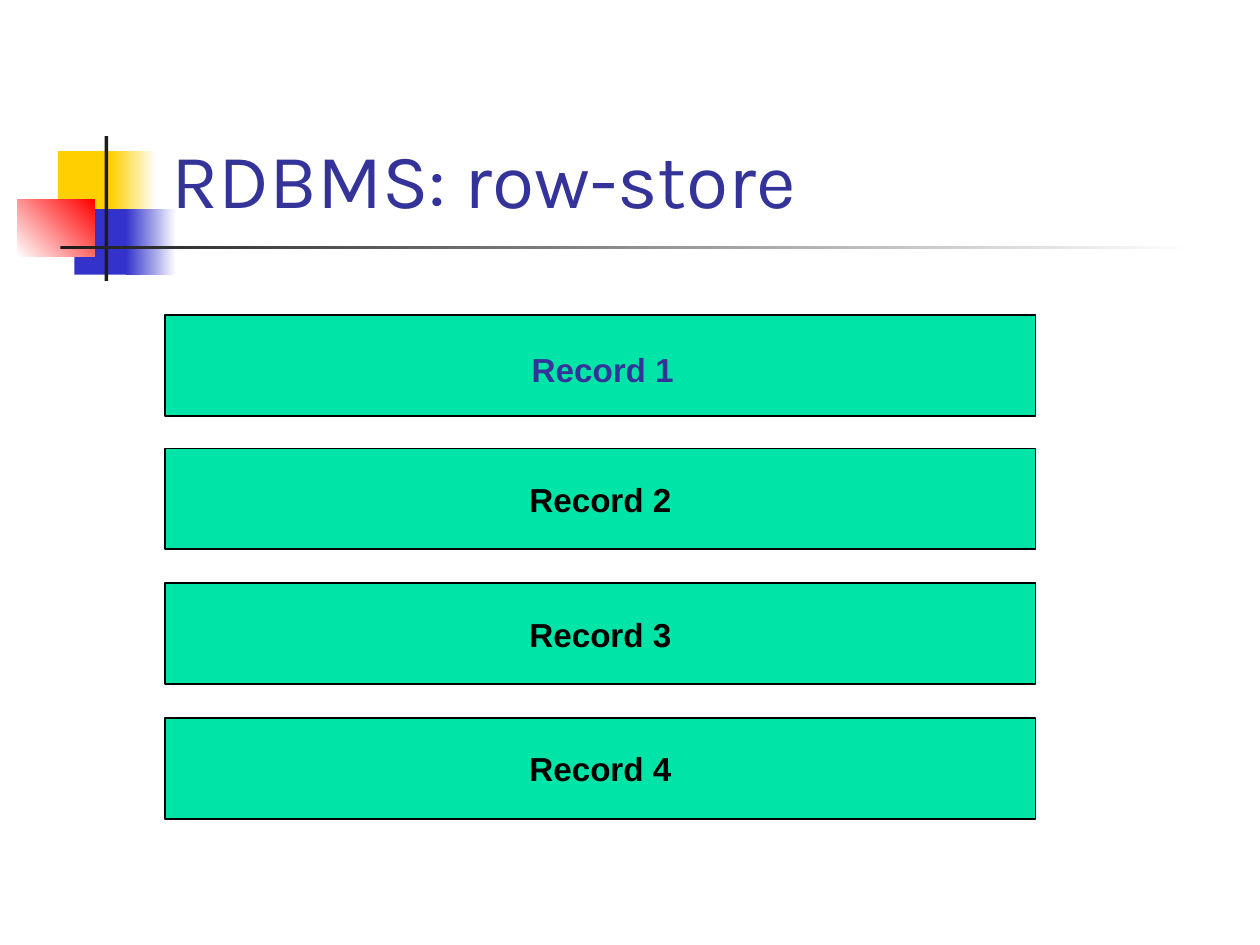
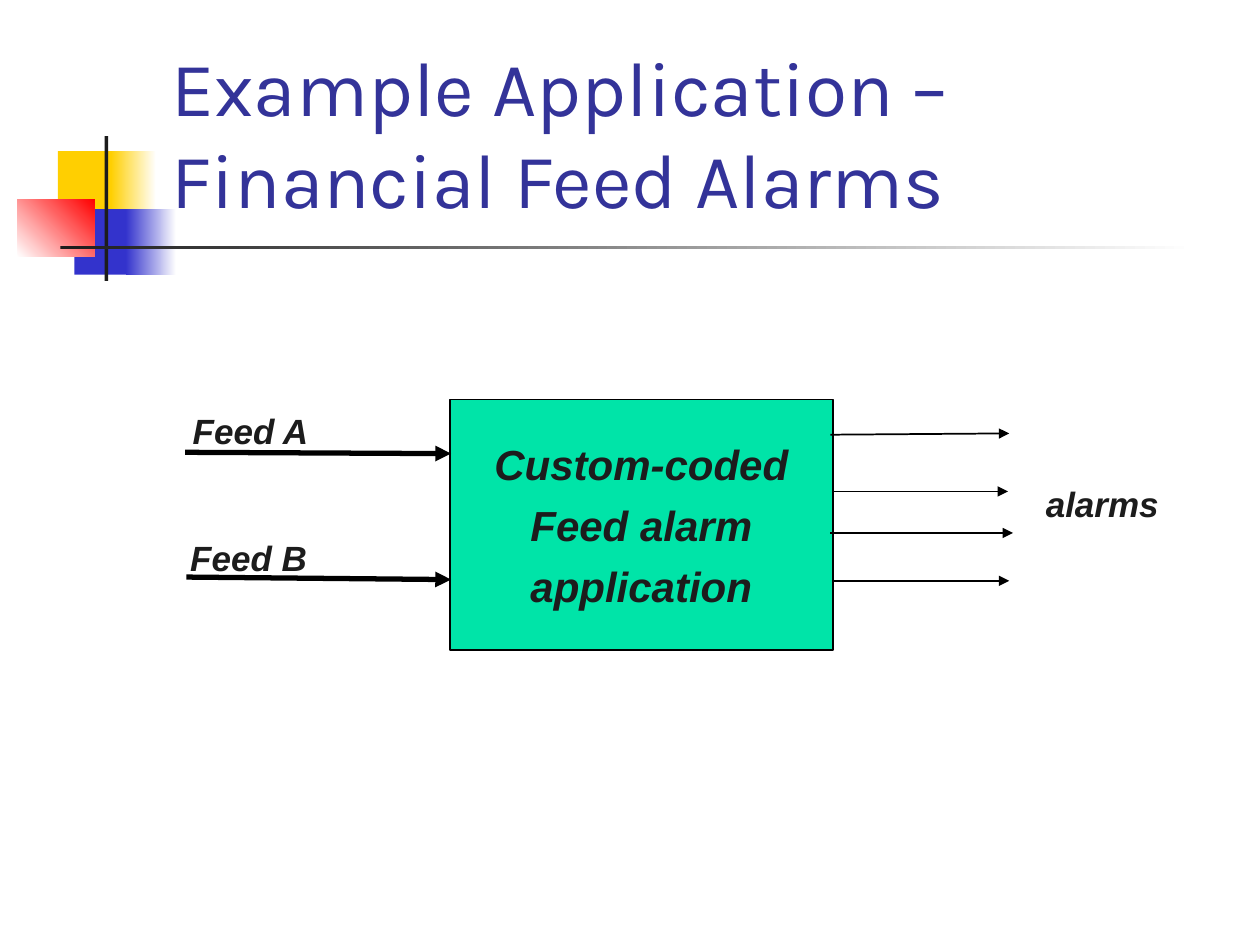
from lxml.etree import SubElement
from pptx import Presentation
from pptx.dml.color import RGBColor
from pptx.enum.shapes import MSO_CONNECTOR, MSO_SHAPE
from pptx.enum.text import MSO_ANCHOR, MSO_AUTO_SIZE, PP_ALIGN
from pptx.oxml.ns import qn
from pptx.util import Pt

PX = 9144  # 100 px to the inch
WHITE, BLACK, INK = "FFFFFF", "000000", "1C1C1C"
YELLOW, BLUE, RED = "FFCF01", "3333CC", "FF0000"
NAVY, GREEN = "333399", "00E4A8"


def paint(fill, start, end=None, angle=0):
    """Fill with one colour, or with a gradient from start to end."""
    if end is None:
        fill.solid()
        fill.fore_color.rgb = RGBColor.from_string(start)
        return
    fill.gradient()
    fill.gradient_angle = angle
    for stop, colour in zip(fill.gradient_stops, (start, end)):
        stop.color.rgb = RGBColor.from_string(colour)


def write(shape, text, size=20, font="Arial", colour=INK, bold=True, italic=False,
          align=PP_ALIGN.LEFT, anchor=MSO_ANCHOR.TOP, after=5, inset=(0, 0)):
    frame = shape.text_frame
    frame.word_wrap = True
    frame.auto_size = MSO_AUTO_SIZE.NONE
    frame.vertical_anchor = anchor
    frame.margin_left = frame.margin_right = inset[0] * PX
    frame.margin_top = frame.margin_bottom = inset[1] * PX
    frame.text = text
    for paragraph in frame.paragraphs:
        paragraph.alignment = align
        paragraph.space_before = Pt(0)
        paragraph.space_after = Pt(after)
        paragraph.font.size = Pt(size)
        paragraph.font.name = font
        paragraph.font.bold = bold
        paragraph.font.italic = italic
        paint(paragraph.font.fill, colour)


deck = Presentation()
deck.slide_width, deck.slide_height = 1000 * PX, 750 * PX

# Shared title style and corner ornament: left, top, width, height, fill
ornament = [
    (46, 120, 48, 52, (YELLOW,)),
    (88, 120, 36, 52, (YELLOW, WHITE)),
    (59, 166, 46, 52, (BLUE,)),
    (100, 166, 40, 52, (BLUE, WHITE)),
    (14, 158, 61, 46, (WHITE, RED, 45)),
    (83, 108, 3, 115, (INK,)),
    (48, 195, 900, 3, (INK, WHITE)),
]
slides = []
for heading in ("RDBMS: row-store", "Example Application – Financial Feed Alarms"):
    slide = deck.slides.add_slide(deck.slide_layouts[5])
    slides.append(slide)
    paint(slide.background.fill, WHITE)
    for left, top, width, height, colours in ornament:
        piece = slide.shapes.add_shape(
            MSO_SHAPE.RECTANGLE, left * PX, top * PX, width * PX, height * PX)
        piece.shadow.inherit = False
        piece.line.fill.background()
        paint(piece.fill, *colours)
    title = slide.shapes.title
    title.left, title.top, title.width, title.height = 126 * PX, 23 * PX, 852 * PX, 160 * PX
    write(title, heading, size=44, font="Karla", colour=NAVY, bold=False,
          anchor=MSO_ANCHOR.BOTTOM, after=0, inset=(10, 5))
    slide.shapes._spTree.append(title._element)  # title in front of the ornament
row_store, feed_alarms = slides

# Green boxes: four stored records, and the application between feeds and alarms
record_format = dict(size=19, colour=BLACK, after=4.8)
records = [(row_store, 131, 250 + i * 320 // 3, 691, 80,
            f"Record {i + 1}" if i else "", record_format) for i in range(4)]
application = (feed_alarms, 357, 317, 304, 199, "Custom-coded\nFeed alarm\napplication",
               dict(size=24, italic=True, after=6))
for slide, left, top, width, height, text, text_format in [*records, application]:
    box = slide.shapes.add_shape(
        MSO_SHAPE.RECTANGLE, left * PX, top * PX, width * PX, height * PX)
    box.shadow.inherit = False
    paint(box.fill, GREEN)
    paint(box.line.fill, BLACK)
    box.line.width = Pt(1)
    if text:
        write(box, text, align=PP_ALIGN.CENTER, anchor=MSO_ANCHOR.MIDDLE, **text_format)

# Arrows: feeds going in, alarms coming out
arrows = [
    (147, 359, 358, 360, 3),
    (148, 458, 358, 460, 3),
    (659, 345, 801, 344, 1),
    (661, 390, 800, 390, 1),
    (659, 423, 804, 423, 1),
    (661, 461, 801, 461, 1),
]
for x1, y1, x2, y2, weight in arrows:
    arrow = feed_alarms.shapes.add_connector(
        MSO_CONNECTOR.STRAIGHT, x1 * PX, y1 * PX, x2 * PX, y2 * PX)
    paint(arrow.line.fill, BLACK)
    arrow.line.width = Pt(weight)
    SubElement(arrow.line._get_or_add_ln(), qn("a:tailEnd"), type="triangle")
    SubElement(arrow._element.spPr, qn("a:effectLst"))

# Free-standing labels
feed_format = dict(size=20, italic=True)
labels = [
    (row_store, 422, 277, 340, 32, "Record 1", dict(size=19, colour=NAVY)),
    (feed_alarms, 153, 325, 106, 33, "Feed A", feed_format),
    (feed_alarms, 151, 426, 108, 33, "Feed B", feed_format),
    (feed_alarms, 830, 383, 92, 33, "alarms", feed_format),
]
for slide, left, top, width, height, text, text_format in labels:
    label = slide.shapes.add_textbox(left * PX, top * PX, width * PX, height * PX)
    write(label, text, **text_format)

deck.save("out.pptx")
